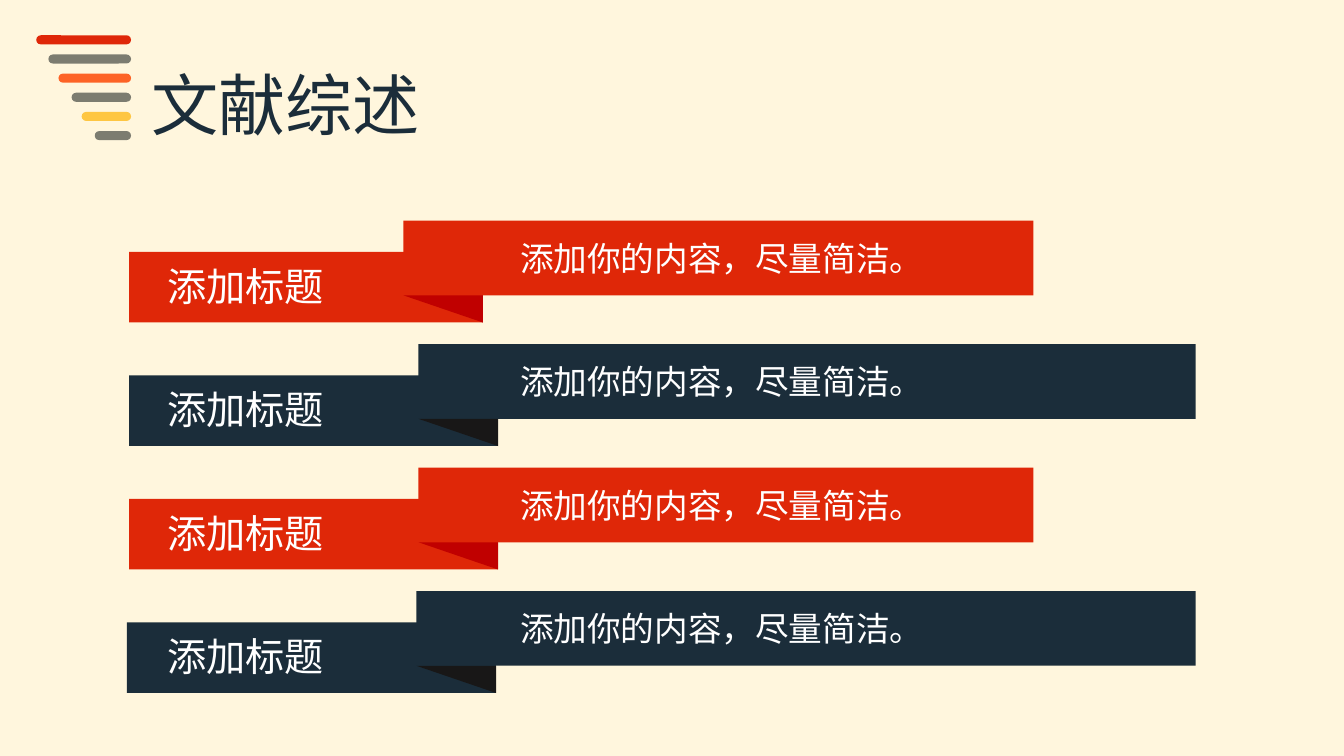
from lxml import etree
from pptx import Presentation
from pptx import util as u
from pptx.dml.color import RGBColor
from pptx.enum import shapes, text
from pptx.oxml.ns import qn

FONT = "Noto Sans CJK SC"
CREAM = RGBColor(0xFF, 0xF6, 0xDD)
NAVY = RGBColor(0x1B, 0x2D, 0x3A)
RED = RGBColor(0xDF, 0x27, 0x08)
ORANGE = RGBColor(0xFD, 0x63, 0x26)
YELLOW = RGBColor(0xFE, 0xC6, 0x42)
GRAY = RGBColor(0x7C, 0x7C, 0x70)
DARK_RED = RGBColor(0xC0, 0x00, 0x00)
BLACK = RGBColor(0x18, 0x17, 0x17)
WHITE = RGBColor(0xFF, 0xFF, 0xFF)

BAR_RIGHT, BAR_TOP, BAR_PITCH, BAR_HEIGHT = 1.3, 0.35, 0.19, 0.09
BARS = [(0.36, RED), (0.48, GRAY), (0.58, ORANGE),
        (0.71, GRAY), (0.81, YELLOW), (0.94, GRAY)]

RIBBON_TOP, RIBBON_PITCH = 2.19, 1.225
BODY_HEIGHT, TAG_DROP, TAG_HEIGHT = 0.74, 0.31, 0.7
FOLD_WIDTH = 0.79
RIBBONS = [
    (1.28, 4.0, 10.25, RED, DARK_RED),
    (1.28, 4.15, 11.86, NAVY, BLACK),
    (1.28, 4.15, 10.25, RED, DARK_RED),
    (1.26, 4.13, 11.86, NAVY, BLACK),
]


def paint(sp, color):
    sp.shadow.inherit = False
    sp.fill.solid()
    sp.fill.fore_color.rgb = color
    sp.line.fill.background()


def add_box(s, kind, left, top, width, height, color):
    sp = s.shapes.add_shape(kind, u.Inches(left), u.Inches(top),
                            u.Inches(width), u.Inches(height))
    paint(sp, color)
    return sp


def add_fold(s, left, top, bottom, color):
    right = left + FOLD_WIDTH
    fb = s.shapes.build_freeform(u.Inches(right), u.Inches(top))
    fb.add_line_segments([(u.Inches(left), u.Inches(top)),
                          (u.Inches(right), u.Inches(bottom))], close=True)
    paint(fb.convert_to_shape(), color)


def write(sp, words, size, color):
    tf = sp.text_frame
    tf.word_wrap = False
    tf.vertical_anchor = text.MSO_ANCHOR.TOP
    p = tf.paragraphs[0]
    p.alignment = text.PP_ALIGN.LEFT
    p.line_spacing = 1.0
    r = p.add_run()
    r.text = words
    r.font.size = u.Pt(size)
    r.font.name = FONT
    r.font.color.rgb = color
    etree.SubElement(r.font._element, qn("a:ea"), typeface=FONT)


def add_text(s, left, top, width, height, words, size):
    sp = s.shapes.add_textbox(u.Inches(left), u.Inches(top),
                              u.Inches(width), u.Inches(height))
    write(sp, words, size, WHITE)


def add_title(s, words):
    sp = s.shapes.title
    sp.left, sp.top = u.Inches(1.4), u.Inches(0.58)
    sp.width, sp.height = u.Inches(2.89), u.Inches(0.91)
    write(sp, words, 48, NAVY)


def add_bars(s):
    for i, (left, color) in enumerate(BARS):
        sp = add_box(s, shapes.MSO_SHAPE.ROUNDED_RECTANGLE, left,
                     BAR_TOP + i * BAR_PITCH, BAR_RIGHT - left, BAR_HEIGHT, color)
        sp.adjustments[0] = 0.5


def add_ribbon(s, top, tag_left, body_left, body_right, color, fold_color):
    rect = shapes.MSO_SHAPE.RECTANGLE
    tag_top = top + TAG_DROP
    add_box(s, rect, tag_left, tag_top,
            body_left + FOLD_WIDTH - tag_left, TAG_HEIGHT, color)
    add_box(s, rect, body_left, top, body_right - body_left, BODY_HEIGHT, color)
    add_fold(s, body_left, top + BODY_HEIGHT, tag_top + TAG_HEIGHT, fold_color)
    add_text(s, 1.56, top + 0.36, 1.77, 0.57, "添加标题", 28)
    add_text(s, 5.06, top + 0.12, 4.24, 0.5, "添加你的内容，尽量简洁。", 24)


def main():
    """Build the literature review slide."""
    prs = Presentation()
    prs.slide_width, prs.slide_height = u.Inches(13.33), u.Inches(7.5)
    s = prs.slides.add_slide(prs.slide_layouts[5])
    s.background.fill.solid()
    s.background.fill.fore_color.rgb = CREAM
    add_title(s, "文献综述")
    add_bars(s)
    for i, ribbon in enumerate(RIBBONS):
        add_ribbon(s, RIBBON_TOP + i * RIBBON_PITCH, *ribbon)
    prs.save("out.pptx")


if __name__ == "__main__":
    main()
